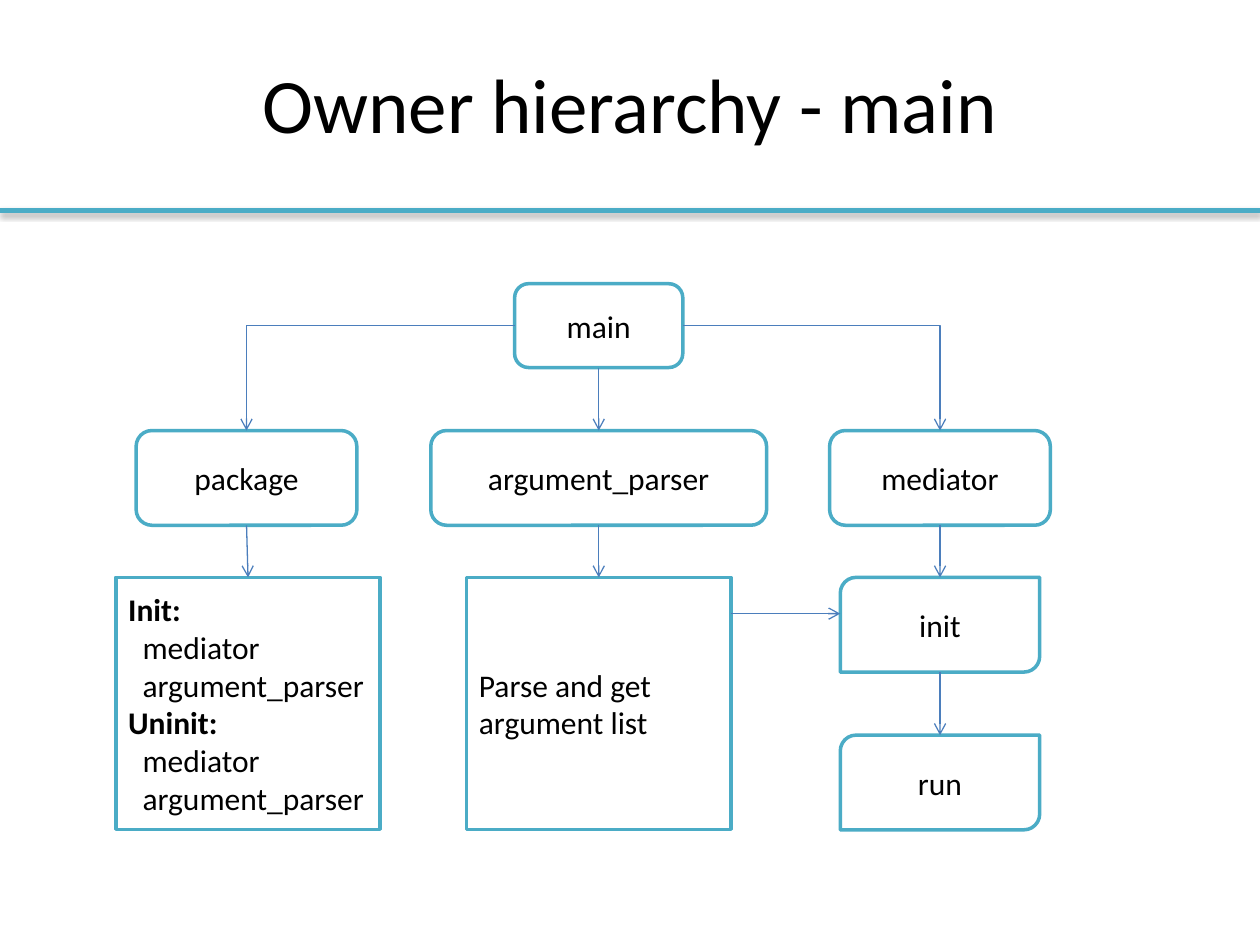
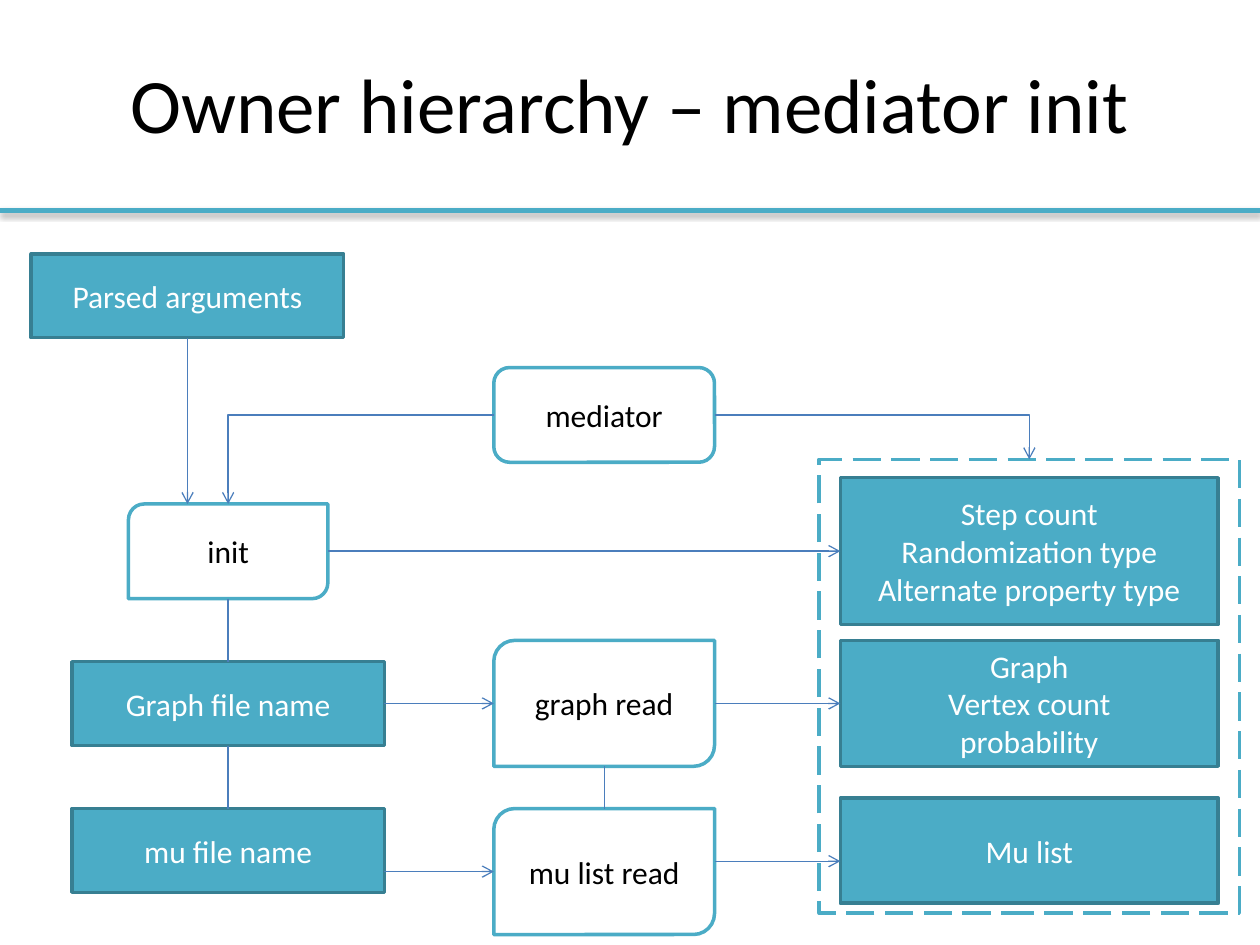
from pptx import Presentation
from pptx import util as u
from pptx.dml.color import RGBColor
from pptx.enum import dml, shapes, text
from pptx.oxml import parse_xml
from pptx.oxml.ns import nsdecls, qn

COLORS = {"teal": "4BACC6", "edge": "377F92", "arrow": "4B7EBC",
          "white": "FFFFFF", "black": "000000"}
FONT = "Calibri"
PAGE_W, PAGE_H = 25.4, 19.05
TITLE_H, RULE_Y = 4.15, 4.24
INDENT = 0.29

# Box kinds: preset, fill, line, text colour, alignment
S, A = shapes.MSO_SHAPE, text.PP_ALIGN
KINDS = {
    "object": (S.ROUNDED_RECTANGLE, "white", "teal", "black", A.CENTER),
    "method": (S.ROUND_2_DIAG_RECTANGLE, "white", "teal", "black", A.CENTER),
    "note": (S.RECTANGLE, "white", "teal", "black", A.LEFT),
    "data": (S.RECTANGLE, "teal", "edge", "white", A.CENTER),
    "frame": (S.RECTANGLE, None, "teal", "black", A.CENTER),
}

# Content, in cm. Boxes: name -> kind, centre x, top, width, height, lines
# A line that starts with ">" is indented, one that starts with "*" is bold.
# Links: from, to, route, arrowhead, fixed coordinate (None = box centre)
PACKAGE_X, PARSER_X, MEDIATOR_X = 4.97, 12.07, 18.95
INIT_X, READ_X, RESULT_X = 4.6, 12.18, 20.75
STEPS = [">mediator", ">argument_parser"]
SLIDES = [
    {"title": "Owner hierarchy - main",
     "boxes": {
         "main": ("object", PARSER_X, 5.72, 3.39, 1.69, ["main"]),
         "package": ("object", PACKAGE_X, 8.68, 4.45, 1.91, ["package"]),
         "parser": ("object", PARSER_X, 8.68, 6.77, 1.91, ["argument_parser"]),
         "mediator": ("object", MEDIATOR_X, 8.68, 4.45, 1.91, ["mediator"]),
         "order": ("note", 5.0, 11.64, 5.33, 5.08,
                   ["*Init:", *STEPS, "*Uninit:", *STEPS]),
         "parse": ("note", PARSER_X, 11.64, 5.33, 5.08,
                   ["Parse and get argument list"]),
         "init": ("method", MEDIATOR_X, 11.64, 4.02, 1.91, ["init"]),
         "run": ("method", MEDIATOR_X, 14.82, 4.02, 1.91, ["run"]),
     },
     "links": [
         ("main", "package", "bend", True, None),
         ("main", "parser", "down", True, None),
         ("main", "mediator", "bend", True, None),
         ("package", "order", "down", True, None),
         ("parser", "parse", "down", True, None),
         ("mediator", "init", "down", True, None),
         ("parse", "init", "right", True, 12.37),
         ("init", "run", "down", True, None),
     ]},
    {"title": "Owner hierarchy – mediator init",
     "boxes": {
         "mediator": ("object", READ_X, 7.41, 4.45, 1.91, ["mediator"]),
         "init": ("method", INIT_X, 10.16, 4.02, 1.91, ["init"]),
         "args": ("data", 3.78, 5.12, 6.3, 1.69, ["Parsed arguments"]),
         "graph file": ("data", INIT_X, 13.34, 6.3, 1.69, ["Graph file name"]),
         "mu file": ("data", INIT_X, 16.3, 6.3, 1.69, ["mu file name"]),
         "graph read": ("method", READ_X, 12.91, 4.45, 2.54, ["graph read"]),
         "mu read": ("method", READ_X, 16.3, 4.45, 2.54, ["mu list read"]),
         "settings": ("data", RESULT_X, 9.63, 7.62, 2.96,
                      ["Step count", "Randomization type",
                       "Alternate property type"]),
         "graph": ("data", RESULT_X, 12.91, 7.62, 2.54,
                   ["Graph", "Vertex count", "probability"]),
         "mu list": ("data", RESULT_X, 16.09, 7.62, 2.12, ["Mu list"]),
         "results": ("frame", RESULT_X, 9.26, 8.47, 9.15, []),
     },
     "links": [
         ("mediator", "init", "bend", True, None),
         ("mediator", "results", "bend", True, None),
         ("args", "init", "down", True, 3.78),
         ("init", "settings", "right", True, None),
         ("init", "graph file", "down", False, None),
         ("graph file", "mu file", "down", False, None),
         ("graph file", "graph read", "right", True, None),
         ("mu file", "mu read", "right", True, None),
         ("graph read", "mu read", "down", False, None),
         ("graph read", "graph", "right", True, None),
         ("mu read", "mu list", "right", True, 17.36),
     ]},
]


def rgb(name):
    return RGBColor.from_string(COLORS[name])


def write(tf, lines, size=18, color="black", align=A.CENTER):
    tf.word_wrap = True
    tf.vertical_anchor = text.MSO_ANCHOR.MIDDLE
    for i, line in enumerate(lines):
        p = tf.add_paragraph() if i else tf.paragraphs[0]
        p.alignment = align
        if line.startswith(">"):
            p._p.get_or_add_pPr().set("marL", str(u.Cm(INDENT)))
        r = p.add_run()
        r.text = line.lstrip(">*")
        r.font.name, r.font.size = FONT, u.Pt(size)
        r.font.bold = line.startswith("*")
        r.font.color.rgb = rgb(color)


def add_line(s, start, end, color, width, bend=False, arrow=False, shadow=""):
    kind = shapes.MSO_CONNECTOR.ELBOW if bend else shapes.MSO_CONNECTOR.STRAIGHT
    sp = s.shapes.add_connector(kind, *(u.Cm(v) for v in (*start, *end)))
    sp.line.color.rgb, sp.line.width = rgb(color), u.Pt(width)
    props = sp._element.spPr
    if bend:  # a single corner: across, then down
        props.find(qn("a:prstGeom")).set("prst", "bentConnector2")
    if arrow:
        sp.line._get_or_add_ln().append(
            parse_xml(f'<a:tailEnd {nsdecls("a")} type="arrow"/>'))
    props.append(parse_xml(
        f'<a:effectLst {nsdecls("a")}>{shadow}</a:effectLst>'))


def add_header(s, title):
    sp = s.shapes.title
    sp.left, sp.top, sp.width, sp.height = (
        u.Cm(v) for v in (0, 0, PAGE_W, TITLE_H))
    write(sp.text_frame, [title], size=44)
    shadow = ('<a:outerShdw blurRad="40000" dist="23000" dir="5400000" '
              'rotWithShape="0"><a:srgbClr val="000000">'
              '<a:alpha val="35000"/></a:srgbClr></a:outerShdw>')
    add_line(s, (0, RULE_Y), (PAGE_W, RULE_Y), "teal", 3, shadow=shadow)


def add_box(s, kind, cx, top, w, h, lines):
    preset, fill, line, color, align = KINDS[kind]
    sp = s.shapes.add_shape(
        preset, *(u.Cm(v) for v in (cx - w / 2, top, w, h)))
    sp.shadow.inherit = False
    if fill:
        sp.fill.solid()
        sp.fill.fore_color.rgb = rgb(fill)
    else:
        sp.fill.background()
        sp.line.dash_style = dml.MSO_LINE.LONG_DASH
    sp.line.color.rgb, sp.line.width = rgb(line), u.Pt(2)
    write(sp.text_frame, lines, color=color, align=align)


def add_link(s, a, b, route, arrow, at):
    _, ax, ay, aw, ah, _ = a
    _, bx, by, bw, bh, _ = b
    if route == "down":
        start, end = (at or ax, ay + ah), (at or bx, by)
    elif route == "right":
        y = at or by + bh / 2
        start, end = (ax + aw / 2, y), (bx - bw / 2, y)
    else:
        side = aw / 2 if bx > ax else -aw / 2
        start, end = (ax + side, ay + ah / 2), (bx, by)
    add_line(s, start, end, "arrow", 0.75, bend=route == "bend", arrow=arrow)


prs = Presentation()
prs.slide_width, prs.slide_height = u.Cm(PAGE_W), u.Cm(PAGE_H)
for content in SLIDES:
    s = prs.slides.add_slide(prs.slide_layouts[5])
    add_header(s, content["title"])
    boxes = content["boxes"]
    for box in boxes.values():
        add_box(s, *box)
    for source, target, *rest in content["links"]:
        add_link(s, boxes[source], boxes[target], *rest)
prs.save("out.pptx")
